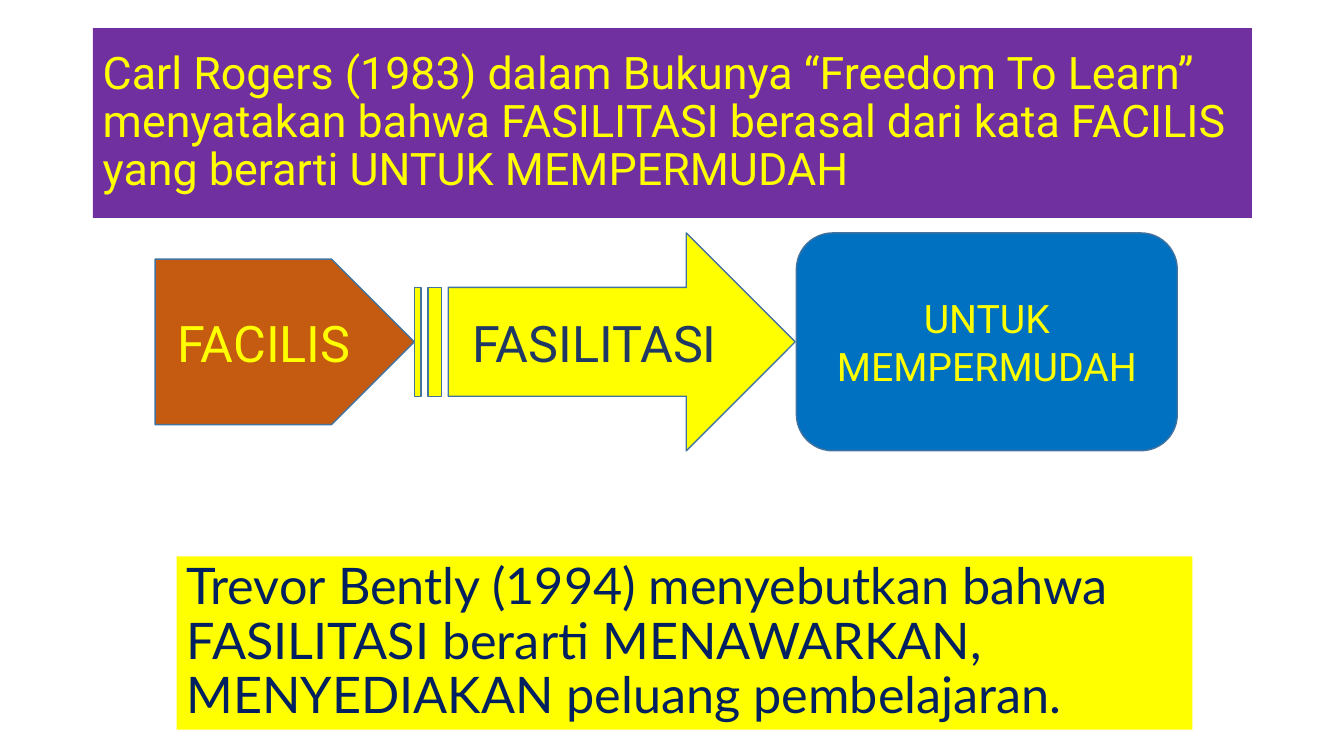
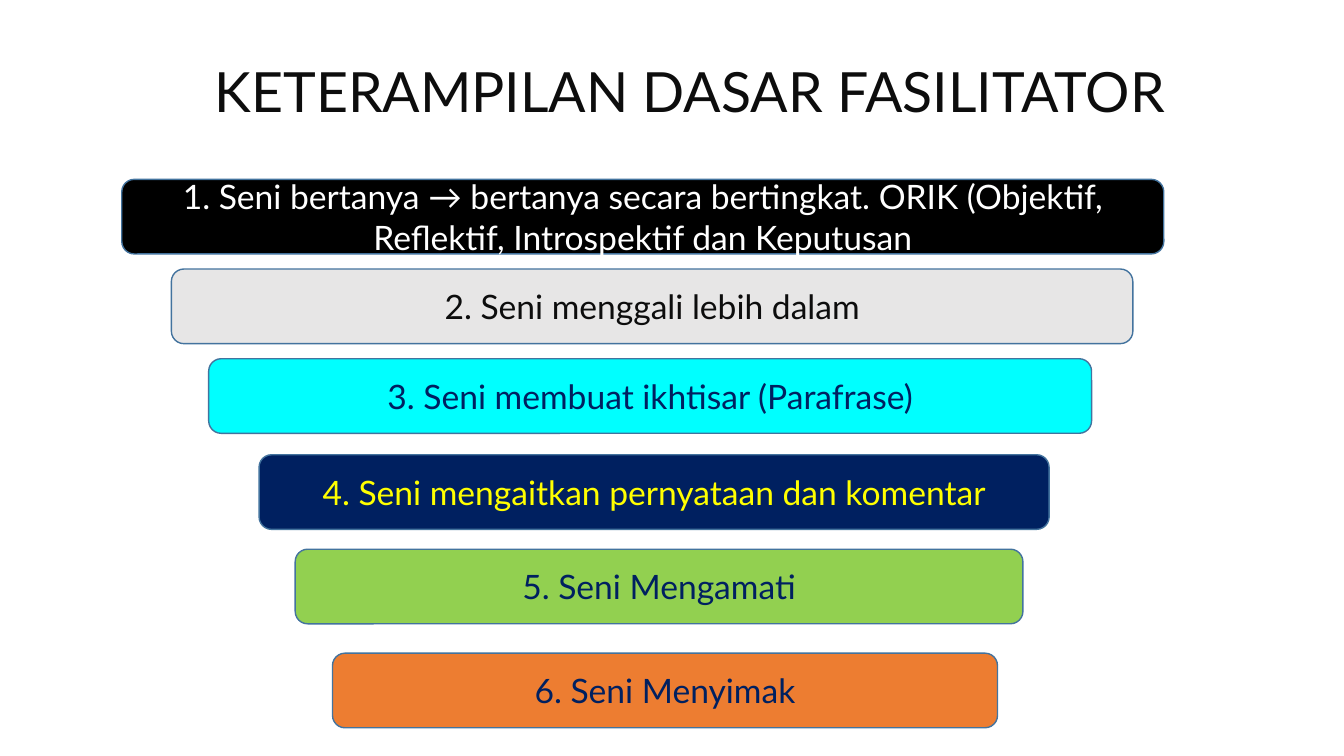
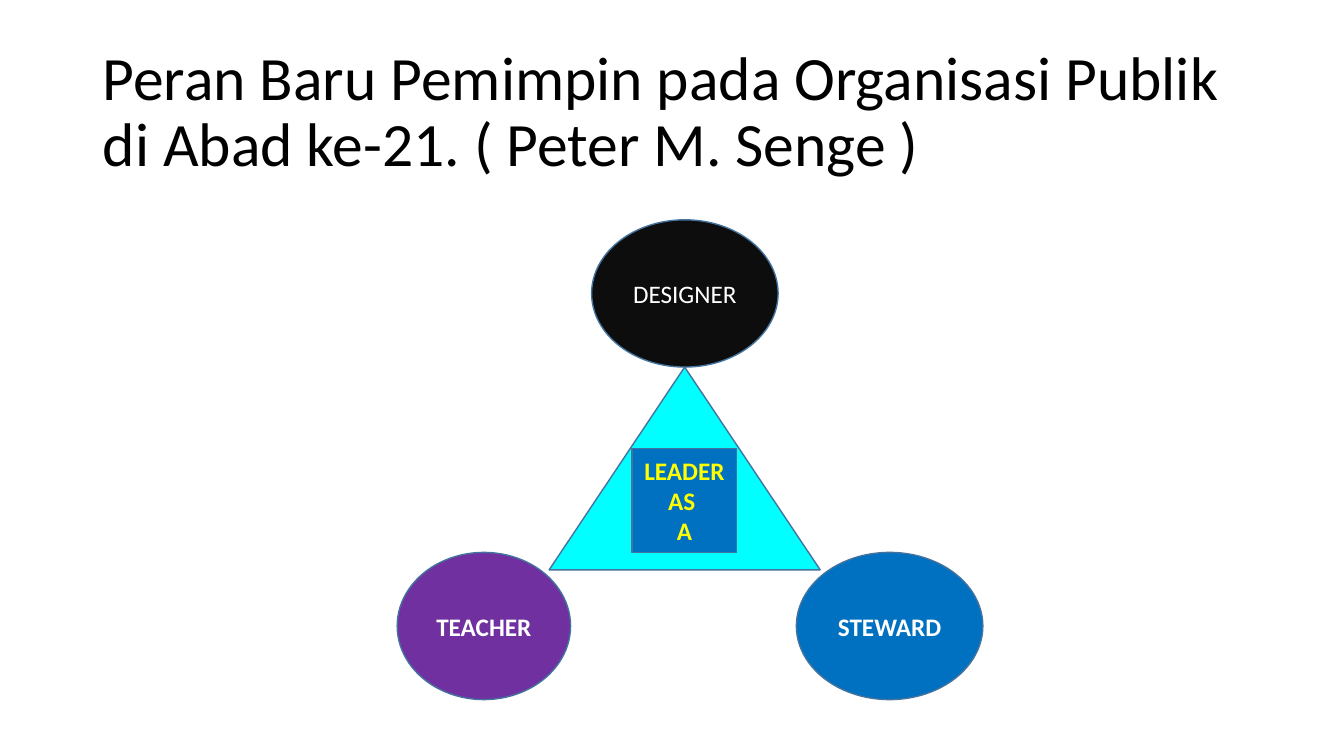
"""Build three slides on facilitation, facilitator skills and leadership roles."""
from dataclasses import dataclass

from pptx import Presentation
from pptx.dml.color import RGBColor
from pptx.enum.shapes import MSO_SHAPE
from pptx.enum.text import MSO_ANCHOR, PP_ALIGN
from pptx.util import Cm, Pt

RECTANGLE = MSO_SHAPE.RECTANGLE
ROUNDED = MSO_SHAPE.ROUNDED_RECTANGLE
PENTAGON = MSO_SHAPE.PENTAGON
STRIPED_ARROW = MSO_SHAPE.STRIPED_RIGHT_ARROW
ELLIPSE = MSO_SHAPE.OVAL
TRIANGLE = MSO_SHAPE.ISOSCELES_TRIANGLE
MIDDLE = MSO_ANCHOR.MIDDLE
LEFT, CENTER = PP_ALIGN.LEFT, PP_ALIGN.CENTER


@dataclass(frozen=True)
class Theme:
    white: str = "FFFFFF"
    black: str = "000000"
    ink: str = "0D0D0D"
    grey: str = "E7E6E6"
    yellow: str = "FFFF00"
    purple: str = "7030A0"
    blue: str = "0070C0"
    navy: str = "002060"
    slate: str = "203864"
    cyan: str = "00FFFF"
    green: str = "92D050"
    orange: str = "ED7D31"
    rust: str = "C55A11"
    outline: str = "43739E"
    title_size: float = 44
    skills_title_size: float = 39.6
    large_size: float = 36
    statement_size: float = 32
    result_size: float = 28
    skill_size: float = 24
    role_size: float = 18


theme = Theme()


def add_block(slide, kind, box, fill, lines=(), outlined=True, align=CENTER, spacing=1.0, **font):
    """Add a filled shape with one paragraph per line of text."""
    shape = slide.shapes.add_shape(kind, *(Cm(length) for length in box))
    shape.shadow.inherit = False
    shape.fill.solid()
    shape.fill.fore_color.rgb = RGBColor.from_string(fill)
    if outlined:
        shape.line.color.rgb = RGBColor.from_string(theme.outline)
        shape.line.width = Pt(1)
    else:
        shape.line.fill.background()
    frame = shape.text_frame
    frame.word_wrap = True
    frame.vertical_anchor = MIDDLE
    for index, line in enumerate(lines):
        paragraph = frame.add_paragraph() if index else frame.paragraphs[0]
        paragraph.alignment = align
        paragraph.line_spacing = spacing
        run = paragraph.add_run()
        run.text = line
        text_format = {"bold": False, **font}
        run.font.color.rgb = RGBColor.from_string(text_format.pop("color"))
        run.font.size = Pt(text_format.pop("size"))
        for attribute, value in text_format.items():
            setattr(run.font, attribute, value)


presentation = Presentation()
presentation.slide_width, presentation.slide_height = Cm(33.87), Cm(19.05)
blank = presentation.slide_layouts[6]
statement = {"outlined": False, "align": LEFT, "spacing": 0.9}

meaning = presentation.slides.add_slide(blank)
add_block(
    meaning, RECTANGLE, (2.34, 0.71, 29.21, 4.78), theme.purple,
    ["Carl Rogers (1983) dalam Bukunya “Freedom To Learn” menyatakan bahwa "
     "FASILITASI berasal dari kata FACILIS yang berarti UNTUK MEMPERMUDAH"],
    color=theme.yellow, size=theme.statement_size, name="Roboto", **statement)
steps = [
    (PENTAGON, (3.91, 6.53, 6.53, 4.17), theme.rust, "FACILIS", theme.yellow, theme.large_size),
    (STRIPED_ARROW, (10.44, 5.87, 9.6, 5.49), theme.yellow, "FASILITASI", theme.slate, theme.large_size),
    (ROUNDED, (20.07, 5.87, 9.6, 5.49), theme.blue, "UNTUK MEMPERMUDAH", theme.yellow, theme.result_size),
]
for kind, box, fill, label, color, size in steps:
    add_block(meaning, kind, box, fill, [label], color=color, size=size, name="Roboto")
add_block(
    meaning, RECTANGLE, (4.45, 14.02, 25.6, 4.37), theme.yellow,
    ["Trevor Bently (1994) menyebutkan bahwa FASILITASI berarti MENAWARKAN, "
     "MENYEDIAKAN peluang pembelajaran."],
    color=theme.navy, size=theme.large_size, name="Lato", **statement)

skills_slide = presentation.slides.add_slide(blank)
add_block(
    skills_slide, RECTANGLE, (5.16, 1.07, 25.73, 2.64), theme.white,
    ["KETERAMPILAN DASAR FASILITATOR"],
    color=theme.ink, size=theme.skills_title_size, name="Lato", **statement)
skills = [
    (3.07, 4.52, 26.26, theme.black, theme.white,
     "Seni bertanya → bertanya secara bertingkat. ORIK (Objektif, Reflektif, Introspektif dan Keputusan"),
    (4.32, 6.78, 24.23, theme.grey, theme.ink, "Seni menggali lebih dalam"),
    (5.26, 9.04, 22.25, theme.cyan, theme.navy, "Seni membuat ikhtisar (Parafrase)"),
    (6.53, 11.46, 19.91, theme.navy, theme.yellow, "Seni mengaitkan pernyataan dan komentar"),
    (7.44, 13.84, 18.34, theme.green, theme.navy, "Seni Mengamati"),
    (8.38, 16.46, 16.76, theme.orange, theme.navy, "Seni Menyimak"),
]
for number, (left, top, width, fill, color, skill) in enumerate(skills, 1):
    add_block(skills_slide, ROUNDED, (left, top, width, 1.88), fill, [f"{number}. {skill}"],
              color=color, size=theme.skill_size, name="Lato")

leadership = presentation.slides.add_slide(blank)
add_block(
    leadership, RECTANGLE, (2.34, 1.02, 29.21, 3.68), theme.white,
    ["Peran Baru Pemimpin pada Organisasi Publik di Abad ke-21. ( Peter M. Senge )"],
    color=theme.black, size=theme.title_size, name="Calibri", **statement)
roles = [
    (10.01, 13.92, 4.37, theme.purple, "TEACHER", True),
    (20.07, 13.92, 4.7, theme.blue, "STEWARD", True),
    (14.91, 5.54, 4.7, theme.ink, "DESIGNER", False),
]
for left, top, width, fill, role, bold in roles:
    add_block(leadership, ELLIPSE, (left, top, width, 3.71), fill, [role],
              color=theme.white, size=theme.role_size, name="Calibri", bold=bold)
add_block(leadership, TRIANGLE, (13.84, 9.25, 6.83, 5.11), theme.cyan)
add_block(leadership, RECTANGLE, (15.93, 11.3, 2.64, 2.62), theme.blue, ["LEADER", "AS ", "A"],
          color=theme.yellow, size=theme.role_size, name="Calibri", bold=True)

presentation.save("out.pptx")
